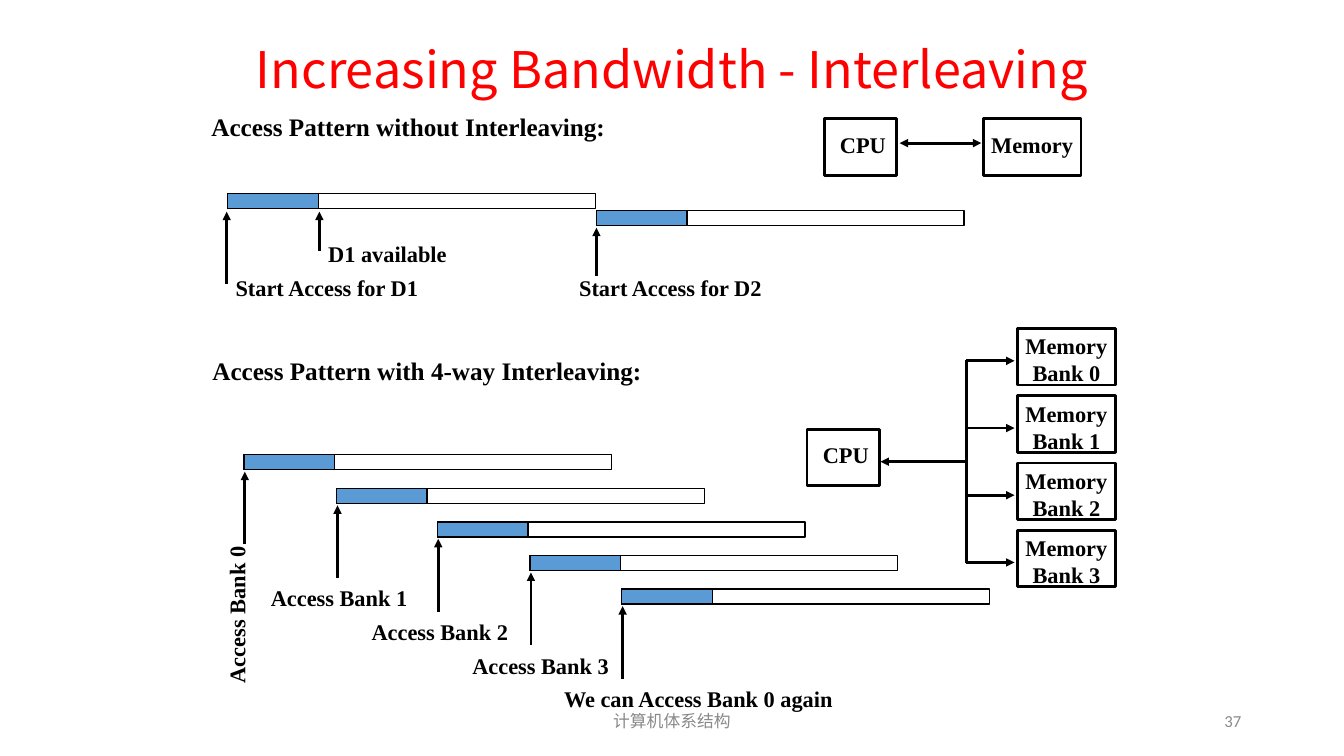
from pptx import Presentation
from pptx.dml.color import RGBColor
from pptx.enum.shapes import MSO_CONNECTOR, MSO_SHAPE
from pptx.enum.text import MSO_ANCHOR, PP_ALIGN
from pptx.oxml.ns import qn
from pptx.util import Inches, Pt
from lxml.etree import SubElement

BLACK = RGBColor(0, 0, 0)
BLUE = RGBColor(0x5B, 0x9B, 0xD5)
RED = RGBColor(0xFF, 0, 0)
GRAY = RGBColor(0x89, 0x89, 0x89)
SERIF = "Times New Roman"

TITLE = "Increasing Bandwidth - Interleaving"
FOOTER = "计算机体系结构"
PAGE = "37"
HEADINGS = [
    ("Access Pattern without Interleaving:", 2, 1.06, 4.11),
    ("Access Pattern with 4-way Interleaving:", 2.01, 3.48, 4.46),
]
SERIAL_BARS = [(2.26, 1.92), (5.92, 2.09)]
SERIAL_MARKS = [
    ("Start Access for D1", 2.25, 2.1, 0.72, 2.24, 2.67, 2.03),
    ("D1 available", 3.17, 2.1, 0.39, 3.16, 2.33, 1.37),
    ("Start Access for D2", 5.92, 2.26, 0.48, 5.65, 2.67, 2.03),
]
BANK_BARS = [2.42, 3.34, 4.34, 5.26, 6.17]
BANK_LABELS = [
    ("Access Bank 1", 2.59, 1.55),
    ("Access Bank 2", 3.59, 1.55),
    ("Access Bank 3", 4.59, 1.55),
    ("We can Access Bank 0 again", 5.5, 2.89),
]
BANKS = [["Memory", f"Bank {i}"] for i in range(4)]

ROW = 1 / 3
BAR_W, BUSY_W, BAR_H = 3.65, 0.9, 0.15
BAR_TOP, LABEL_TOP = 4.51, 5.75
ARROW_GAP, ARROW_H, LABEL_H = 0.17, 0.72, 0.36
CPU_W, MEM_W, BOX_H = 0.72, 0.97, 0.56
BANK_X, BANK_TOP = 10.1, 3.26
BUS_X, BUS_TOP = 9.59, 3.58

prs = Presentation()
prs.slide_width, prs.slide_height = Inches(13.34), Inches(7.5)
s = prs.slides.add_slide(prs.slide_layouts[6])


def write(p, text, size, font, color, bold):
    r = p.add_run()
    r.text = text
    r.font.size, r.font.name, r.font.bold = Pt(size), font, bold
    r.font.color.rgb = color


def label(text, x, y, w, h=LABEL_H, size=16, font=SERIF, color=BLACK,
          bold=True, align=PP_ALIGN.LEFT, anchor=MSO_ANCHOR.TOP, wrap=False):
    tb = s.shapes.add_textbox(Inches(x), Inches(y), Inches(w), Inches(h))
    tf = tb.text_frame
    tf.word_wrap, tf.vertical_anchor = wrap, anchor
    tf.margin_right = Inches(0.1 if wrap else 0.03)
    p = tf.paragraphs[0]
    p.alignment = align
    write(p, text, size, font, color, bold)
    return tb


def rect(x, y, w, h, width, fill=None):
    sp = s.shapes.add_shape(MSO_SHAPE.RECTANGLE, Inches(x), Inches(y), Inches(w), Inches(h))
    sp.shadow.inherit = False
    if fill is None:
        sp.fill.background()
    else:
        sp.fill.solid()
        sp.fill.fore_color.rgb = fill
    sp.line.color.rgb, sp.line.width = BLACK, Pt(width)
    return sp


def bar(x, y):
    rect(x, y, BUSY_W, BAR_H, 1, BLUE)
    rect(x, y, BAR_W, BAR_H, 1)


def box(lines, x, y, w, top, left=0):
    tf = rect(x, y, w, BOX_H, 2).text_frame
    tf.word_wrap, tf.vertical_anchor = False, MSO_ANCHOR.TOP
    tf.margin_left, tf.margin_top = Inches(left), Inches(top)
    tf.margin_right = tf.margin_bottom = 0
    for i, line in enumerate(lines):
        p = tf.add_paragraph() if i else tf.paragraphs[0]
        p.alignment = PP_ALIGN.CENTER
        write(p, line, 16, SERIF, BLACK, True)


def line(x1, y1, x2, y2, ends=("tailEnd",)):
    c = s.shapes.add_connector(MSO_CONNECTOR.STRAIGHT, Inches(x1), Inches(y1), Inches(x2), Inches(y2))
    c.line.color.rgb, c.line.width = BLACK, Pt(2)
    ln = c.line._get_or_add_ln()
    for end in ends:
        SubElement(ln, qn(f"a:{end}"), type="triangle")
    SubElement(c._element.spPr, qn("a:effectLst"))


label(TITLE, 0.92, 0.4, 11.5, 0.63, 36, "Noto Sans CJK SC", RED, False,
      PP_ALIGN.CENTER, MSO_ANCHOR.MIDDLE, True).text_frame.paragraphs[0].line_spacing = 0.9
for text, x, y, w in HEADINGS:
    label(text, x, y, w, 0.4, 18)

for x, y in SERIAL_BARS:
    bar(x, y)
for text, tip_x, tip_y, length, x, y, w in SERIAL_MARKS:
    line(tip_x, tip_y + length, tip_x, tip_y)
    label(text, x, y, w)
box(["CPU"], 8.18, 1.18, CPU_W, 0.12, 0.05)
box(["Memory"], 9.76, 1.18, MEM_W, 0.12)
line(8.93, 1.42, 9.74, 1.42, ("headEnd", "tailEnd"))

for i, x in enumerate(BANK_BARS):
    y = BAR_TOP + i * ROW
    bar(x, y)
    line(x + 0.01, y + ARROW_GAP + ARROW_H, x + 0.01, y + ARROW_GAP)
label("Access Bank 0", 1.57, 5.92, 1.55).rotation = 270
for i, (text, x, w) in enumerate(BANK_LABELS):
    label(text, x, LABEL_TOP + i * ROW, w)

box(["CPU"], 8.01, 4.26, CPU_W, 0.12, 0.05)
for i, bank in enumerate(BANKS):
    box(bank, BANK_X, BANK_TOP + i * 2 * ROW, MEM_W, 0.04)
    y = BUS_TOP + i * 2 * ROW
    line(BUS_X, y, 10.07, y)
line(BUS_X, BUS_TOP + 6 * ROW + 0.01, BUS_X, BUS_TOP - 0.01, ())
line(BUS_X, BUS_TOP + 3 * ROW, 8.74, BUS_TOP + 3 * ROW)

for text, x, w, align in [(FOOTER, 4.42, 4.5, PP_ALIGN.CENTER), (PAGE, 9.42, 3, PP_ALIGN.RIGHT)]:
    label(text, x, 6.95, w, 0.4, 12, "Calibri", GRAY, False, align, MSO_ANCHOR.MIDDLE, True)

prs.save("out.pptx")
